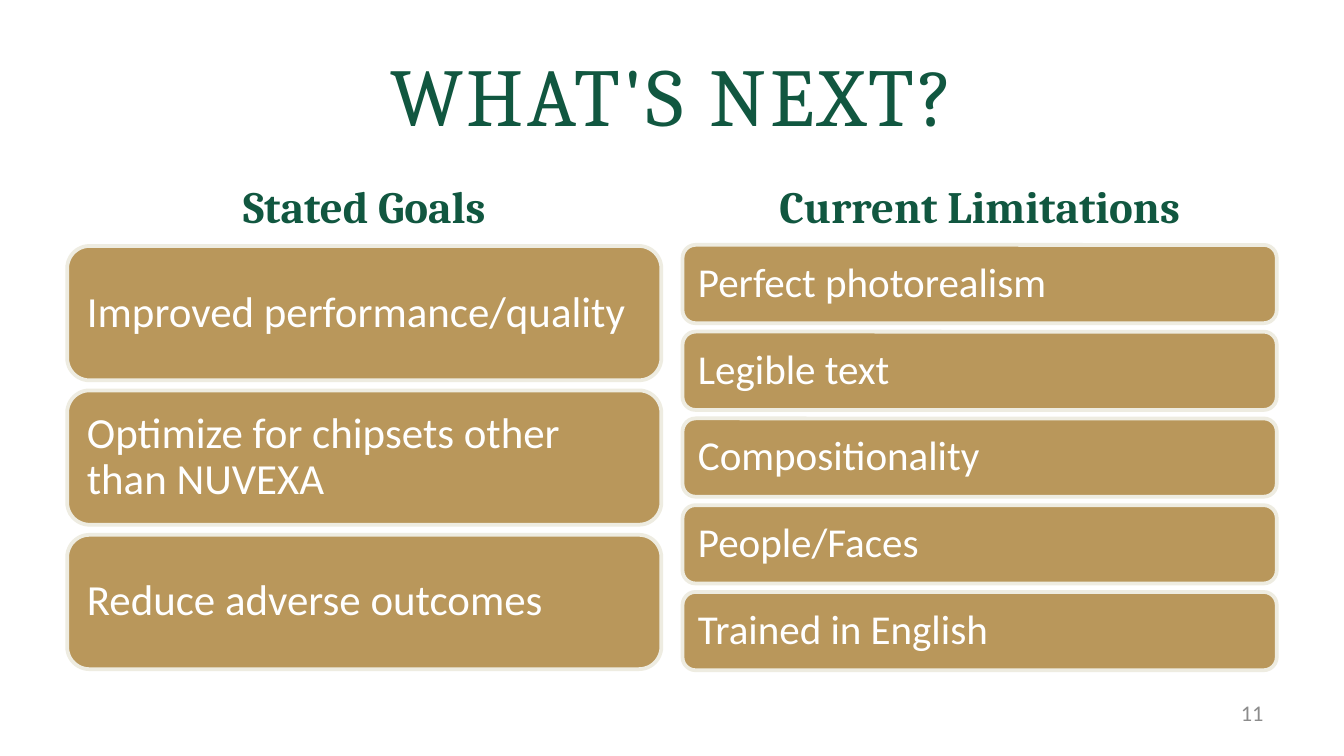
"""Build the "What's next?" slide with two columns of rounded boxes."""
from pptx import Presentation
from pptx.dml.color import RGBColor
from pptx.enum.shapes import MSO_SHAPE
from pptx.enum.text import MSO_ANCHOR, MSO_AUTO_SIZE, PP_ALIGN
from pptx.util import Cm, Pt

ROUNDED = MSO_SHAPE.ROUNDED_RECTANGLE
MIDDLE, BOTTOM = MSO_ANCHOR.MIDDLE, MSO_ANCHOR.BOTTOM
LEFT, CENTER, RIGHT = PP_ALIGN.LEFT, PP_ALIGN.CENTER, PP_ALIGN.RIGHT
NO_FIT = MSO_AUTO_SIZE.NONE
GREEN, GOLD, CREAM, WHITE, GREY = "115740", "B9975B", "EEECE1", "FFFFFF", "8C8C8C"
MARGIN, COLUMN_WIDTH = 1.27, 11.23


def color(value):
    return RGBColor.from_string(value)


def write(box, text, font, size, shade, align, anchor, bold=False):
    frame = box.text_frame
    frame.text = text
    frame.word_wrap = True
    frame.auto_size = NO_FIT
    frame.vertical_anchor = anchor
    para = frame.paragraphs[0]
    para.alignment = align
    para.space_before = Pt(0)
    span = para.runs[0]
    span.font.name = font
    span.font.size = Pt(size)
    span.font.bold = bold
    span.font.color.rgb = color(shade)
    return para


deck = Presentation()
deck.slide_width, deck.slide_height = Cm(25.4), Cm(14.29)
page = deck.slides.add_slide(deck.slide_layouts[4])
holders = {holder.placeholder_format.idx: holder for holder in page.placeholders}
for index in (2, 4):
    unused = holders[index].element
    unused.getparent().remove(unused)

title = page.shapes.title
title.left, title.top, title.width, title.height = Cm(MARGIN), Cm(0.58), Cm(22.86), Cm(2.39)
heading = write(title, "WHAT'S NEXT?", "Cambria", 44, GREEN, CENTER, MIDDLE)
heading.runs[0].font._element.set("spc", "200")

columns = [
    (1, "Stated Goals", MARGIN, 4.65, 2.54, 2.73, 23, 0.25,
     ["Improved performance/quality", "Optimize for chipsets other than NUVEXA",
      "Reduce adverse outcomes"]),
    (3, "Current Limitations", 12.9, 4.63, 1.48, 1.64, 22, 0.22,
     ["Perfect photorealism", "Legible text", "Compositionality",
      "People/Faces", "Trained in English"]),
]
for index, name, left, top, height, pitch, size, inset, items in columns:
    label = holders[index]
    label.left, label.top, label.width, label.height = Cm(left), Cm(3.2), Cm(COLUMN_WIDTH), Cm(1.33)
    write(label, name, "Cambria", 24, GREEN, CENTER, BOTTOM, bold=True)
    for row, item in enumerate(items):
        box = page.shapes.add_shape(
            ROUNDED, Cm(left), Cm(top + row * pitch), Cm(COLUMN_WIDTH), Cm(height))
        box.shadow.inherit = False
        box.fill.solid()
        box.fill.fore_color.rgb = color(GOLD)
        box.line.color.rgb = color(CREAM)
        box.line.width = Pt(2)
        frame = box.text_frame
        frame.margin_left = frame.margin_right = Cm(inset)
        frame.margin_top = frame.margin_bottom = Cm(inset)
        para = write(box, item, "Calibri", size, WHITE, LEFT, MIDDLE)
        para.line_spacing = 0.9

number = page.shapes.add_textbox(Cm(18.2), Cm(13.13), Cm(5.93), Cm(0.76))
write(number, "11", "Calibri", 12, GREY, RIGHT, MIDDLE).line_spacing = 0.9

deck.save("out.pptx")
